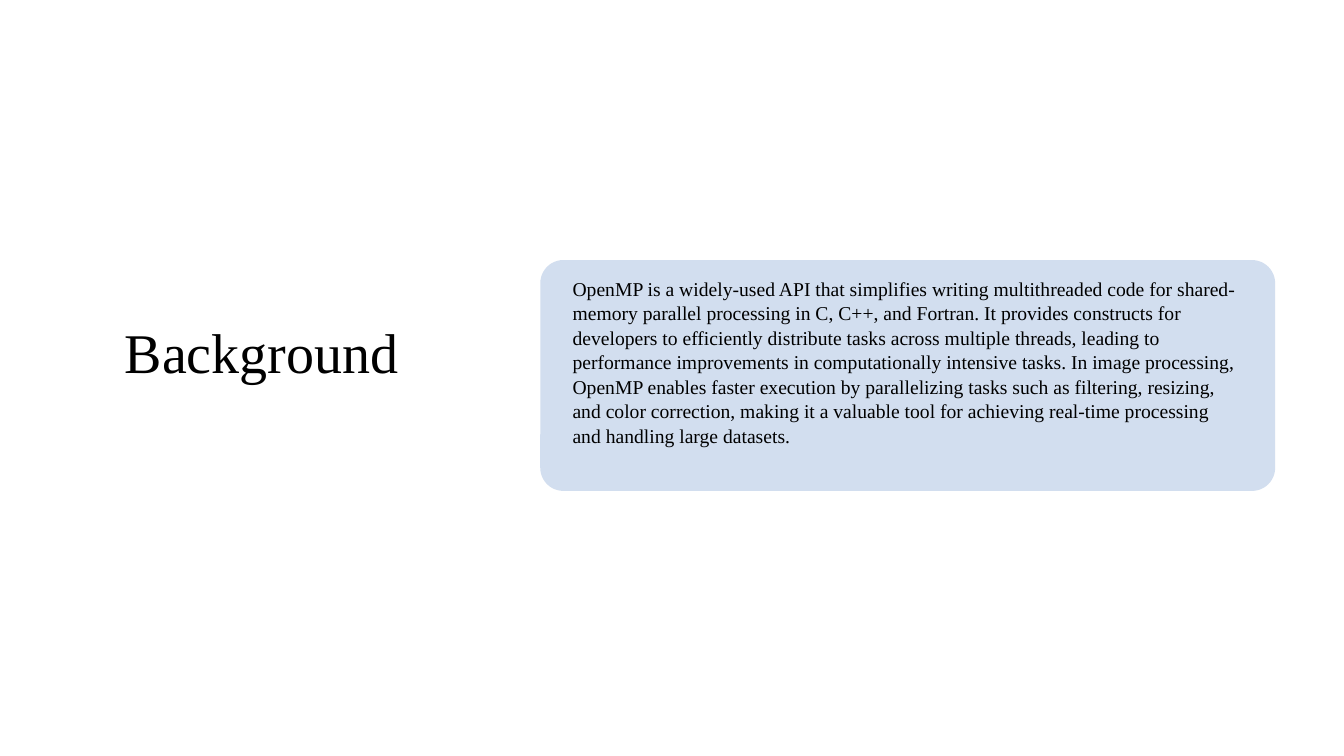
from typing import NamedTuple

from pptx import Presentation
from pptx.dml.color import RGBColor
from pptx.enum.shapes import MSO_SHAPE
from pptx.enum.text import MSO_ANCHOR, MSO_AUTO_SIZE, PP_ALIGN
from pptx.util import Inches, Pt

BLACK = RGBColor(0x00, 0x00, 0x00)
PALE_BLUE = RGBColor(0xD2, 0xDE, 0xEF)
FONT = "Times New Roman"

# The slide is measured in columns and rows of a tenth of an inch
UNIT = Inches(0.1)
COLUMNS, ROWS = 133.33, 75

BACKGROUND = (
    "OpenMP is a widely-used API that simplifies writing multithreaded code for "
    "shared-memory parallel processing in C, C++, and Fortran. It provides constructs "
    "for developers to efficiently distribute tasks across multiple threads, leading to "
    "performance improvements in computationally intensive tasks. In image processing, "
    "OpenMP enables faster execution by parallelizing tasks such as filtering, resizing, "
    "and color correction, making it a valuable tool for achieving real-time processing "
    "and handling large datasets."
)


class Box(NamedTuple):
    column: float
    row: float
    columns: float
    rows: float

    def lengths(self) -> list[int]:
        return [round(n * UNIT) for n in self]


class TextStyle(NamedTuple):
    size: float
    align: PP_ALIGN
    anchor: MSO_ANCHOR
    spacing: float
    inset_x: float
    inset_y: float


TITLE_BOX = Box(6.4, 18.4, 34.1, 20.4)
PANEL_BOX = Box(53.6, 25.8, 72.9, 22.9)
BODY_BOX = Box(54.7, 25.8, 70.5, 20.1)

TITLE_STYLE = TextStyle(40, PP_ALIGN.RIGHT, MSO_ANCHOR.BOTTOM, 0.9, 0.1, 0.05)
BODY_STYLE = TextStyle(14, PP_ALIGN.LEFT, MSO_ANCHOR.MIDDLE, 1.04, 0.21, 0.21)


def write(sp, text: str, style: TextStyle) -> None:
    """Fill a shape with one formatted paragraph."""
    tf = sp.text_frame
    tf.word_wrap = True
    tf.auto_size = MSO_AUTO_SIZE.NONE
    tf.vertical_anchor = style.anchor
    tf.margin_left = tf.margin_right = Inches(style.inset_x)
    tf.margin_top = tf.margin_bottom = Inches(style.inset_y)
    p = tf.paragraphs[0]
    p.alignment = style.align
    p.line_spacing = style.spacing
    r = p.add_run()
    r.text = text
    r.font.name = FONT
    r.font.size = Pt(style.size)
    r.font.color.rgb = BLACK


def main() -> None:
    prs = Presentation()
    prs.slide_width = round(COLUMNS * UNIT)
    prs.slide_height = ROWS * UNIT
    s = prs.slides.add_slide(prs.slide_layouts.get_by_name("Title Only"))

    # Title on the left
    title = s.shapes.title
    title.left, title.top, title.width, title.height = TITLE_BOX.lengths()
    write(title, "Background", TITLE_STYLE)

    # Rounded panel on the right
    panel = s.shapes.add_shape(MSO_SHAPE.ROUNDED_RECTANGLE, *PANEL_BOX.lengths())
    panel.adjustments[0] = 0.1
    panel.shadow.inherit = False
    panel.fill.solid()
    panel.fill.fore_color.rgb = PALE_BLUE
    panel.line.fill.background()

    # Description on the panel
    write(s.shapes.add_textbox(*BODY_BOX.lengths()), BACKGROUND, BODY_STYLE)

    prs.save("out.pptx")


if __name__ == "__main__":
    main()
